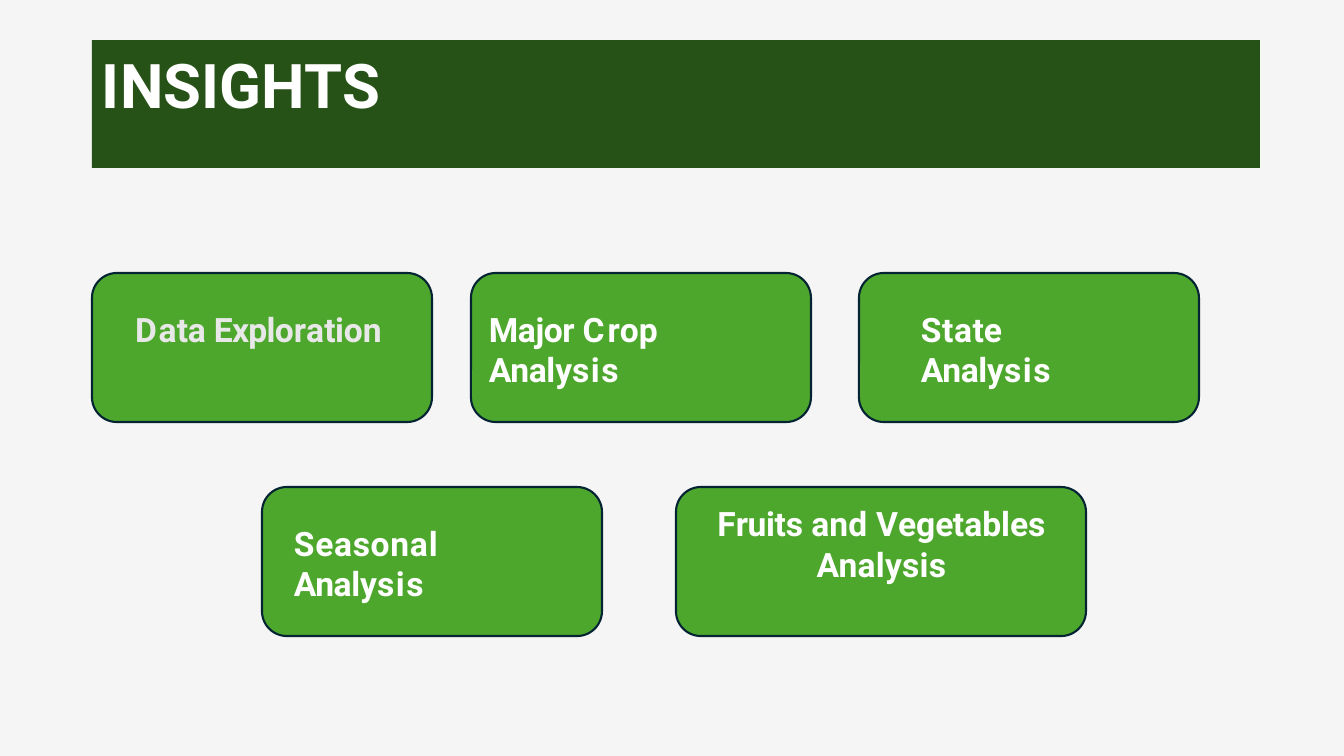
from pptx import Presentation
from pptx.dml.color import RGBColor
from pptx.enum.shapes import MSO_SHAPE
from pptx.enum.text import MSO_ANCHOR, MSO_AUTO_SIZE, PP_ALIGN
from pptx.util import Emu, Pt

EMU_PER_PX = 914400 / 100.8
FONT = "Roboto"
BACKGROUND = RGBColor(0xF5, 0xF5, 0xF5)
BANNER_GREEN = RGBColor(0x27, 0x52, 0x17)
CARD_GREEN = RGBColor(0x4E, 0xA7, 0x2D)
OUTLINE = RGBColor(0x04, 0x23, 0x33)
WHITE = RGBColor(0xFF, 0xFF, 0xFF)
PALE_GREY = RGBColor(0xE8, 0xE8, 0xE8)

CARD_WIDTH, CARD_HEIGHT = 340, 149
TOP_ROW, BOTTOM_ROW = 273, 487
LABEL_DROP = 35

# Each label is a list of (text, letter spacing in points).
ANALYSIS = [("Anal", -0.3), ("y", -0.6), ("sis", 1.1)]
DATA_EXPLORATION = [("D", 1.3), ("a", 0.2), ("ta ", -0.3), ("Explo", -0.5), ("r", -1.1),
                    ("a", 0.2), ("ti", -0.5), ("o", -0.7), ("n", -0.3)]
MAJOR_CROP = [("Major ", -0.3), ("C", 2.1), ("r", -1.6), ("op ", 0.1)] + ANALYSIS
STATE = [("Sta", 0.4), ("t", -1.1), ("e ", -0.5)] + ANALYSIS
SEASONAL = [("Seasona", 0.5), ("l ", 0.3)] + ANALYSIS
FRUITS_AND_VEGETABLES = [("F", -1.4), ("ruit", -0.3), ("s ", -0.2), ("and ", 0.1), ("V", -1.2),
                         ("e", -0.2), ("g", -0.5), ("et", -0.4), ("a", -0.5), ("bl", -0.1),
                         ("e", -0.3), ("s", 2)]

# Card left, card top, label left, label width, label
CARDS = [
    (92, TOP_ROW, 134, 256, DATA_EXPLORATION, PALE_GREY),
    (471, TOP_ROW, 488, 298, MAJOR_CROP, WHITE),
    (859, TOP_ROW, 920, 210, STATE, WHITE),
    (262, BOTTOM_ROW, 293, 270, SEASONAL, WHITE),
]


def px(length):
    return Emu(round(length * EMU_PER_PX))


def set_frame(frame, left_inset, top_inset):
    frame.word_wrap = True
    frame.auto_size = MSO_AUTO_SIZE.NONE
    frame.vertical_anchor = MSO_ANCHOR.TOP
    frame.margin_left, frame.margin_top = px(left_inset), px(top_inset)
    frame.margin_right = frame.margin_bottom = 0


def write_runs(paragraph, runs, size, color, align=PP_ALIGN.LEFT, space_before=1):
    paragraph.alignment = align
    paragraph.space_before = Pt(space_before)
    for text, spacing in runs:
        run = paragraph.add_run()
        run.text = text
        run.font.name = FONT
        run.font.size = Pt(size)
        run.font.bold = True
        run.font.color.rgb = color
        run.font._element.set("spc", str(round(spacing * 100)))


def add_banner(slide):
    title = slide.shapes.title
    title.left, title.top, title.width, title.height = map(px, (92, 40, 1168, 128))
    title.fill.solid()
    title.fill.fore_color.rgb = BANNER_GREEN
    set_frame(title.text_frame, 10, 7)
    write_runs(title.text_frame.paragraphs[0], [("INSIGHTS", 0.1)], 44, WHITE, space_before=4.8)


def add_card(slide, left, top, width=CARD_WIDTH):
    card = slide.shapes.add_shape(MSO_SHAPE.ROUNDED_RECTANGLE,
                                  px(left), px(top), px(width), px(CARD_HEIGHT))
    card.shadow.inherit = False
    card.fill.solid()
    card.fill.fore_color.rgb = CARD_GREEN
    card.line.color.rgb = OUTLINE
    card.line.width = Pt(1.5)


def add_label(slide, left, top, width, height):
    label = slide.shapes.add_textbox(px(left), px(top), px(width), px(height))
    set_frame(label.text_frame, 1, 1)
    return label.text_frame


def main():
    presentation = Presentation()
    presentation.slide_width, presentation.slide_height = px(1344), px(756)
    slide = presentation.slides.add_slide(presentation.slide_layouts[5])
    slide.background.fill.solid()
    slide.background.fill.fore_color.rgb = BACKGROUND

    add_banner(slide)
    for card_left, top, label_left, label_width, runs, color in CARDS:
        add_card(slide, card_left, top)
        label = add_label(slide, label_left, top + LABEL_DROP, label_width, 43)
        write_runs(label.paragraphs[0], runs, 24, color)

    add_card(slide, 676, BOTTOM_ROW, width=410)
    label = add_label(slide, 715, BOTTOM_ROW + 15, 332, 84)
    write_runs(label.paragraphs[0], FRUITS_AND_VEGETABLES, 24, WHITE, PP_ALIGN.CENTER)
    write_runs(label.add_paragraph(), [("Analysis", 0.2)], 24, WHITE, PP_ALIGN.CENTER, 0.1)

    presentation.save("out.pptx")


if __name__ == "__main__":
    main()
